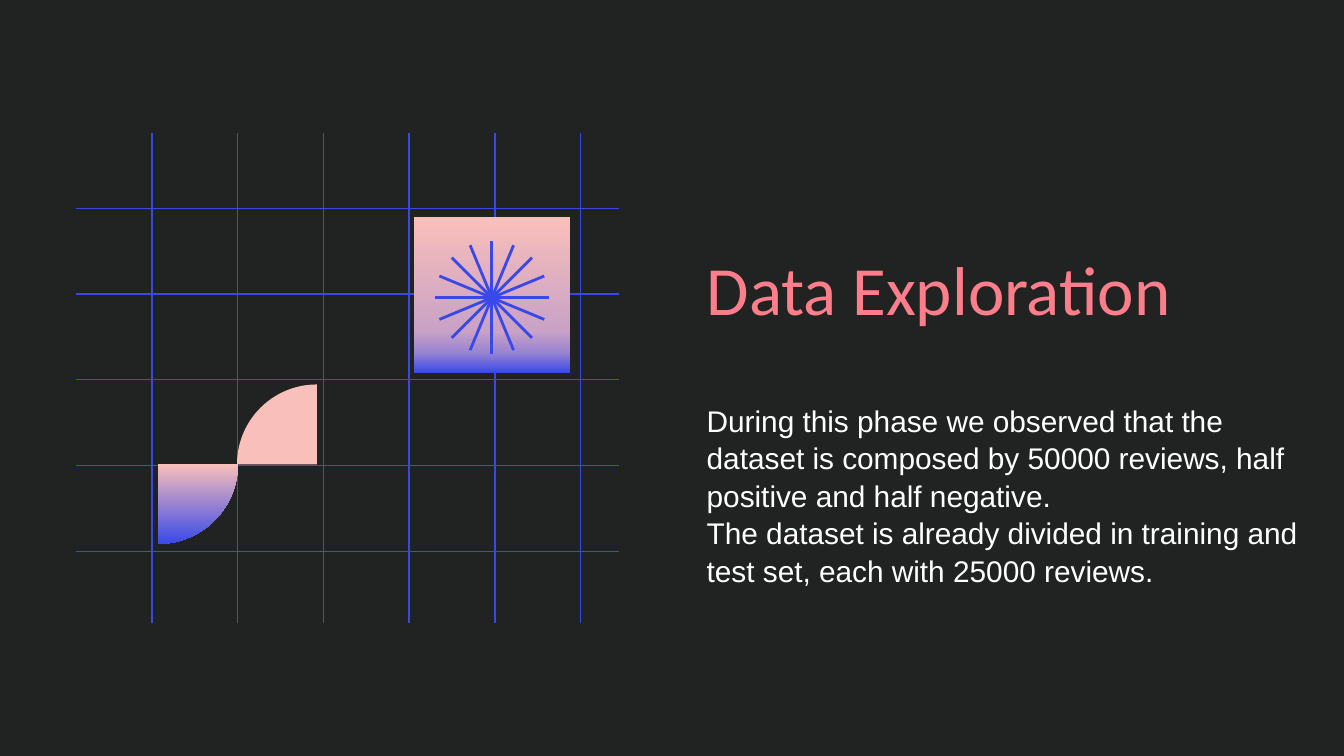
from math import cos, radians, sin

from lxml.etree import SubElement
from pptx import Presentation
from pptx.dml.color import RGBColor
from pptx.enum.shapes import MSO_CONNECTOR, MSO_SHAPE
from pptx.enum.text import MSO_ANCHOR
from pptx.oxml.ns import qn
from pptx.util import Pt

DARK = "212222"
BLUE = "3949E8"
PINK = "F9BFBA"
CORAL = "FB7E8A"
WHITE = "FFFFFF"
GRID_STEP = 45.93


def color(hex_code):
    return RGBColor.from_string(hex_code)


def add_text(slide, box, paragraphs, font, size, hex_code, anchor, spacing=1.0):
    frame = slide.shapes.add_textbox(*map(Pt, box)).text_frame
    frame.word_wrap = True
    frame.vertical_anchor = anchor
    frame.margin_left = frame.margin_right = Pt(7.2)
    frame.margin_top = frame.margin_bottom = Pt(7.2)
    frame.text = "\n".join(paragraphs)
    for paragraph in frame.paragraphs:
        paragraph.line_spacing = spacing
        paragraph.font.name = font
        paragraph.font.size = Pt(size)
        paragraph.font.color.rgb = color(hex_code)


def add_line(slide, start, end, width):
    line = slide.shapes.add_connector(
        MSO_CONNECTOR.STRAIGHT, *map(Pt, (*start, *end)))
    line.line.color.rgb = color(BLUE)
    line.line.width = Pt(width)
    SubElement(line._element.spPr, qn("a:effectLst"))


def paint(shape, stops):
    shape.shadow.inherit = False
    shape.line.fill.background()
    if len(stops) == 1:
        shape.fill.solid()
        shape.fill.fore_color.rgb = color(stops[0][1])
        return
    shape.fill.gradient()
    shape.fill.gradient_angle = 270
    stop_list = shape._element.spPr.find(".//" + qn("a:gsLst"))
    for old_stop in list(stop_list):
        stop_list.remove(old_stop)
    for percent, hex_code in stops:
        stop = SubElement(stop_list, qn("a:gs"), pos=str(percent * 1000))
        SubElement(stop, qn("a:srgbClr"), val=hex_code)


def add_quarter(slide, corner_x, corner_y, radius, first_angle, stops):
    angles = [radians(first_angle + 3 * i) for i in range(31)]
    arc = [(Pt(corner_x + radius * cos(a)), Pt(corner_y + radius * sin(a)))
           for a in angles]
    builder = slide.shapes.build_freeform(Pt(corner_x), Pt(corner_y))
    builder.add_line_segments(arc, close=True)
    paint(builder.convert_to_shape(), stops)


def add_grid(slide):
    for column in range(6):
        x = 81.4 + column * GRID_STEP
        add_line(slide, (x, 71.3), (x, 333.8), 0.75)
    for row in range(5):
        y = 111.6 + row * GRID_STEP
        add_line(slide, (331.7, y), (40.8, y), 0.75)


def add_starburst(slide, center_x, center_y, radius):
    for ray in range(8):
        angle = radians(22.5 * ray)
        dx, dy = radius * cos(angle), radius * sin(angle)
        add_line(slide, (center_x - dx, center_y - dy),
                 (center_x + dx, center_y + dy), 1.5)


def main():
    deck = Presentation()
    deck.slide_width, deck.slide_height = Pt(720), Pt(405)
    slide = deck.slides.add_slide(deck.slide_layouts[6])
    slide.background.fill.solid()
    slide.background.fill.fore_color.rgb = color(DARK)

    add_text(slide, (371.5, 105.1, 270.7, 98.6), ["Data Exploration"],
             "Calibri", 37, CORAL, MSO_ANCHOR.MIDDLE)
    add_text(slide, (371.5, 207.4, 331.2, 121), [
        "During this phase we observed that the dataset is composed by "
        "50000 reviews, half positive and half negative.",
        "The dataset is already divided in training and test set, "
        "each with 25000 reviews.",
    ], "Arial", 16, WHITE, MSO_ANCHOR.TOP, 1.05)

    add_grid(slide)
    add_quarter(slide, 169.8, 248.8, 42.8, 180, [(0, PINK)])
    add_quarter(slide, 84.7, 248.6, 42.8, 0, [(0, PINK), (100, BLUE)])
    tile = slide.shapes.add_shape(
        MSO_SHAPE.RECTANGLE, *map(Pt, (221.8, 116.3, 83.5, 83.5)))
    paint(tile, [(0, PINK), (73, "C9A2C6"), (87, "9984D1"), (100, BLUE)])
    add_starburst(slide, 263.5, 159.5, 30.4)

    deck.save("out.pptx")


if __name__ == "__main__":
    main()
